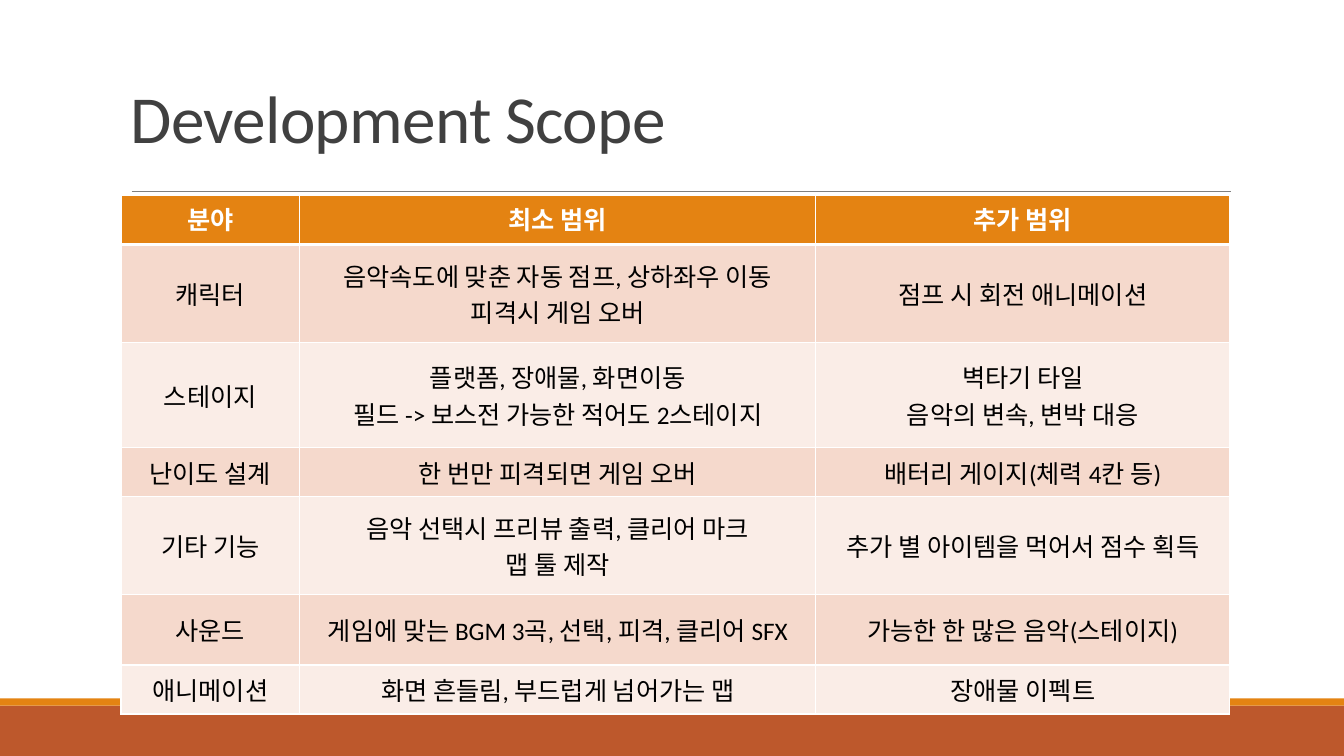
from dataclasses import dataclass

from lxml.etree import SubElement
from pptx import Presentation
from pptx.dml.color import RGBColor
from pptx.enum.shapes import MSO_CONNECTOR as Connector, MSO_SHAPE as Shape
from pptx.enum.text import MSO_ANCHOR as Anchor, PP_ALIGN as Align
from pptx.oxml.ns import qn
from pptx.util import Pt

FONT = "Calibri"
COLORS = {
    "band": "BD582C",
    "accent": "E48312",
    "rule": "808080",
    "title": "404040",
    "white": "FFFFFF",
    "black": "000000",
    "odd": "F5D9CC",
    "even": "FAEDE7",
}
COLUMN_WIDTHS = (127.6, 368.8, 295.6)


@dataclass
class Band:
    top: float
    height: float
    color: str


@dataclass
class ScopeRow:
    height: float
    area: str
    minimum: str
    extra: str


FOOTER_BANDS = (Band(504, 36, "band"), Band(498.8, 5.2, "accent"))
SCOPE_ROWS = (
    ScopeRow(35, "분야", "최소 범위", "추가 범위"),
    ScopeRow(70, "캐릭터", "음악속도에 맞춘 자동 점프, 상하좌우 이동\n피격시 게임 오버",
             "점프 시 회전 애니메이션"),
    ScopeRow(75, "스테이지", "플랫폼, 장애물, 화면이동\n필드 -> 보스전 가능한 적어도 2스테이지",
             "벽타기 타일\n음악의 변속, 변박 대응"),
    ScopeRow(35, "난이도 설계", "한 번만 피격되면 게임 오버", "배터리 게이지(체력 4칸 등)"),
    ScopeRow(70, "기타 기능", "음악 선택시 프리뷰 출력, 클리어 마크\n맵 툴 제작",
             "추가 별 아이템을 먹어서 점수 획득"),
    ScopeRow(35, "사운드", "게임에 맞는 BGM 3곡, 선택, 피격, 클리어 SFX",
             "가능한 한 많은 음악(스테이지)"),
    ScopeRow(35, "애니메이션", "화면 흔들림, 부드럽게 넘어가는 맵", "장애물 이펙트"),
)


def rgb(name: str) -> RGBColor:
    return RGBColor.from_string(COLORS[name])


def style_font(para, size: float, color: str, bold: bool = False) -> None:
    para.font.name = FONT
    para.font.size = Pt(size)
    para.font.bold = bold
    para.font.color.rgb = rgb(color)


def add_band(page, band: Band, width: int) -> None:
    bar = page.shapes.add_shape(Shape.RECTANGLE, 0, Pt(band.top), width, Pt(band.height))
    bar.shadow.inherit = False
    bar.fill.solid()
    bar.fill.fore_color.rgb = rgb(band.color)
    bar.line.fill.background()


def add_title_rule(page) -> None:
    rule = page.shapes.add_connector(Connector.STRAIGHT, Pt(94), Pt(137), Pt(879), Pt(137))
    rule.line.color.rgb = rgb("rule")
    rule.line.width = Pt(0.5)
    SubElement(rule._element.spPr, qn("a:effectLst"))


def add_title(page, text: str) -> None:
    box = page.shapes.add_textbox(Pt(86.4), Pt(-10), Pt(792), Pt(126))
    frame = box.text_frame
    frame.word_wrap = True
    frame.vertical_anchor = Anchor.BOTTOM
    para = frame.paragraphs[0]
    para.line_spacing = 0.85
    style_font(para, 48, "title")
    span = para.add_run()
    span.text = text
    span._r.get_or_add_rPr().set("spc", "-50")


def add_borders(cell, bottom_width: float) -> None:
    properties = cell._tc.get_or_add_tcPr()
    for side, width in (("L", 1), ("R", 1), ("T", 1), ("B", bottom_width)):
        border = SubElement(properties, qn(f"a:ln{side}"), w=str(Pt(width)))
        fill = SubElement(border, qn("a:solidFill"))
        SubElement(fill, qn("a:srgbClr"), val=COLORS["white"])


def fill_cell(cell, text: str, row_index: int) -> None:
    header = row_index == 0
    add_borders(cell, 3 if header else 1)
    cell.fill.solid()
    cell.fill.fore_color.rgb = rgb("accent" if header else "odd" if row_index % 2 else "even")
    cell.vertical_anchor = Anchor.TOP if header else Anchor.MIDDLE
    cell.text_frame.text = text
    for para in cell.text_frame.paragraphs:
        para.alignment = Align.CENTER
        style_font(para, 18, "white" if header else "black", header)


def add_scope_table(page) -> None:
    height = sum(row.height for row in SCOPE_ROWS)
    table = page.shapes.add_table(len(SCOPE_ROWS), len(COLUMN_WIDTHS), Pt(86.4), Pt(139.7),
                                  Pt(sum(COLUMN_WIDTHS)), Pt(height)).table
    table.first_row = False
    table.horz_banding = False
    for column, width in zip(table.columns, COLUMN_WIDTHS):
        column.width = Pt(width)
    for index, row in enumerate(SCOPE_ROWS):
        table.rows[index].height = Pt(row.height)
        for cell, text in zip(table.rows[index].cells, (row.area, row.minimum, row.extra)):
            fill_cell(cell, text, index)


def main() -> None:
    deck = Presentation()
    deck.slide_width, deck.slide_height = Pt(960), Pt(540)
    page = deck.slides.add_slide(deck.slide_layouts[6])
    for band in FOOTER_BANDS:
        add_band(page, band, deck.slide_width)
    add_title_rule(page)
    add_title(page, "Development Scope")
    add_scope_table(page)
    deck.save("out.pptx")


if __name__ == "__main__":
    main()
